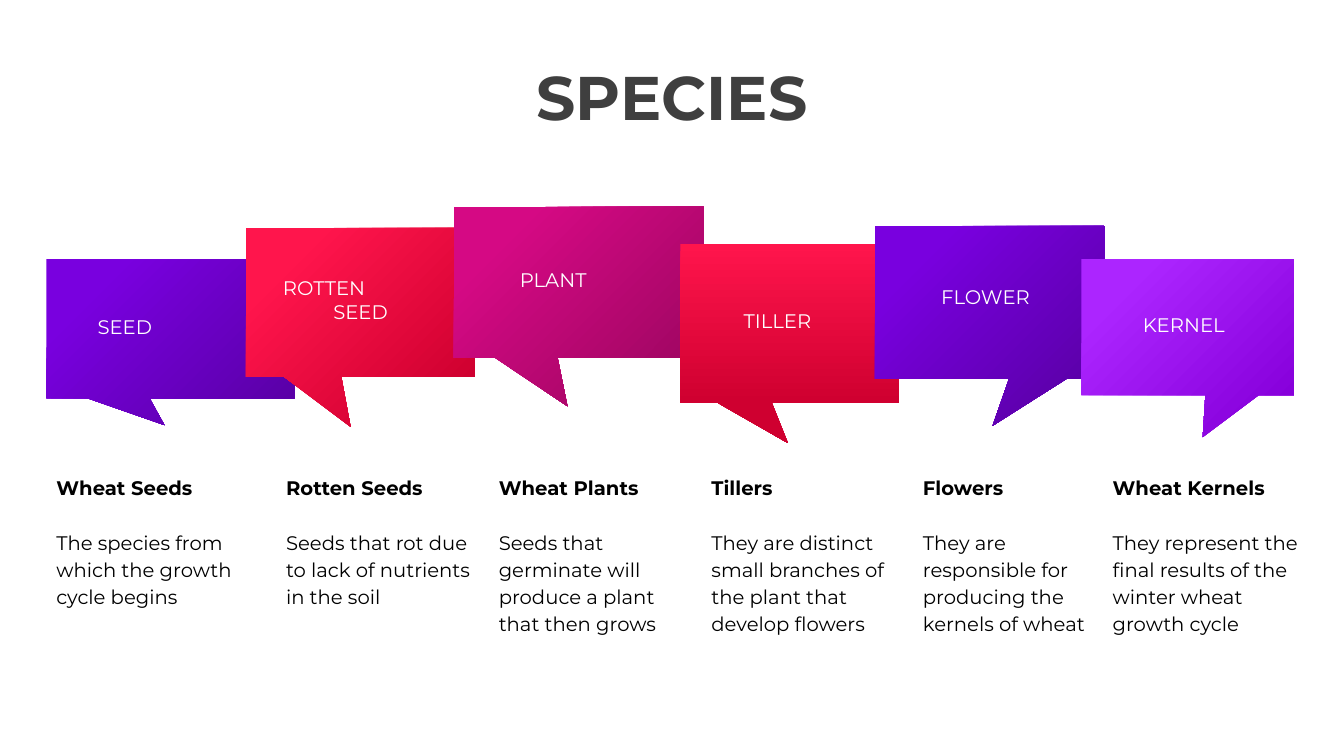
from dataclasses import dataclass

from pptx import Presentation
from pptx.dml.color import RGBColor
from pptx.enum.shapes import MSO_SHAPE as Shape
from pptx.enum.text import MSO_ANCHOR as Anchor, MSO_AUTO_SIZE as AutoSize, PP_ALIGN as Align
from pptx.util import Cm, Pt

FONT = "Montserrat"
COLORS = {
    "title": "3F3F3F",
    "text": "000000",
    "label": "FFFFFF",
    "violet": "7900DF",
    "violet_dark": "5A00A7",
    "red": "FF154C",
    "red_dark": "CF0030",
    "magenta": "D50984",
    "magenta_dark": "9F0662",
    "purple": "AC25FF",
    "purple_dark": "8700DB",
}
NOTE_TOP, NOTE_HEIGHT, NOTES_RIGHT = 11.79, 5.13, 33.3
LINE_HEIGHT = 0.48
LABEL_INDENT = 1.27


@dataclass
class Stage:
    """One step of the growth cycle; lengths in cm."""
    label: list[str]
    label_box: tuple[float, float, float]  # left, top, width
    callout: tuple[float, float, float, float]  # left, top, width, height
    tail: tuple[float, float]
    color: str
    note_left: float
    heading: str
    body: str
    angle: int = 315
    fade_start: float = 0.2


STAGES = [
    Stage(["SEED"], (2.21, 7.8, 1.93), (1.17, 6.53, 6.25, 3.51), (-0.024, 0.692), "violet",
          1.17, "Wheat Seeds", "The species from which the growth cycle begins"),
    Stage(["ROTTEN", "SEED"], (6.88, 6.83, 3.23), (6.2, 5.74, 5.77, 3.76), (-0.043, 0.834), "red",
          6.96, "Rotten Seeds", "Seeds that rot due to lack of nutrients in the soil"),
    Stage(["PLANT"], (12.85, 6.63, 2.24), (11.43, 5.21, 6.3, 3.81), (-0.044, 0.82), "magenta",
          12.32, "Wheat Plants", "Seeds that germinate will produce a plant that then grows"),
    Stage(["TILLER"], (18.49, 7.65, 2.29), (17.15, 6.15, 5.51, 3.99), (-0.009, 0.757), "red",
          17.68, "Tillers", "They are distinct small branches of the plant that develop flowers",
          angle=270, fade_start=0),
    Stage(["FLOWER"], (23.47, 7.06, 2.95), (22.05, 5.69, 5.79, 3.86), (0.012, 0.806), "violet",
          23.01, "Flowers", "They are responsible for producing the kernels of wheat"),
    Stage(["KERNEL"], (28.55, 7.75, 2.77), (27.25, 6.53, 5.36, 3.43), (0.071, 0.807), "purple",
          27.79, "Wheat Kernels", "They represent the final results of the winter wheat growth cycle"),
]


def rgb(name: str) -> RGBColor:
    return RGBColor.from_string(COLORS[name])


def set_font(p, size: float, color: str, bold: bool = False) -> None:
    p.font.name, p.font.size, p.font.bold = FONT, Pt(size), bold
    p.font.color.rgb = rgb(color)


def add_text(s, left: float, top: float, width: float, height: float,
             lines: list[str], color: str) -> list:
    """Add a wrapped text box and return its paragraphs."""
    tf = s.shapes.add_textbox(Cm(left), Cm(top), Cm(width), Cm(height)).text_frame
    tf.word_wrap = True
    tf.text = "\n".join(lines)
    for p in tf.paragraphs:
        set_font(p, 14, color)
    return list(tf.paragraphs)


def add_title(s, text: str) -> None:
    sp = s.shapes.title
    sp.left, sp.top, sp.width, sp.height = Cm(0), Cm(1.6), Cm(33.87), Cm(1.85)
    tf = sp.text_frame
    tf.text = text
    tf.auto_size, tf.vertical_anchor = AutoSize.NONE, Anchor.MIDDLE
    p = tf.paragraphs[0]
    p.alignment, p.line_spacing = Align.CENTER, 0.9
    set_font(p, 44, "title", bold=True)


def add_callout(s, stage: Stage) -> None:
    sp = s.shapes.add_shape(Shape.RECTANGULAR_CALLOUT, *map(Cm, stage.callout))
    sp.shadow.inherit = False
    sp.line.fill.background()
    sp.adjustments[0], sp.adjustments[1] = stage.tail
    sp.fill.gradient()
    sp.fill.gradient_angle = stage.angle
    start, end = sp.fill.gradient_stops
    start.position, start.color.rgb = stage.fade_start, rgb(stage.color)
    end.position, end.color.rgb = 1, rgb(stage.color + "_dark")


def add_label(s, stage: Stage) -> None:
    height = LINE_HEIGHT * (len(stage.label) + 1)
    paragraphs = add_text(s, *stage.label_box, height, stage.label, "label")
    for p in paragraphs[1:]:
        p._p.get_or_add_pPr().set("indent", str(Cm(LABEL_INDENT)))


def add_note(s, stage: Stage, right: float) -> None:
    heading, body = add_text(s, stage.note_left, NOTE_TOP, right - stage.note_left, NOTE_HEIGHT,
                             [stage.heading, stage.body], "text")
    heading.font.bold = True
    heading.space_after = Pt(19.5)
    heading.line_spacing = body.line_spacing = 1.15


def main() -> None:
    prs = Presentation()
    prs.slide_width, prs.slide_height = Cm(33.87), Cm(19.05)
    s = prs.slides.add_slide(prs.slide_layouts[5])
    add_title(s, "SPECIES")

    # Overlapping speech bubbles, then their labels on top
    for stage in STAGES:
        add_callout(s, stage)
    for stage in STAGES:
        add_label(s, stage)

    # Descriptions, each reaching to the start of the next
    rights = [stage.note_left for stage in STAGES[1:]] + [NOTES_RIGHT]
    for stage, right in zip(STAGES, rights):
        add_note(s, stage, right)

    prs.save("out.pptx")


if __name__ == "__main__":
    main()
